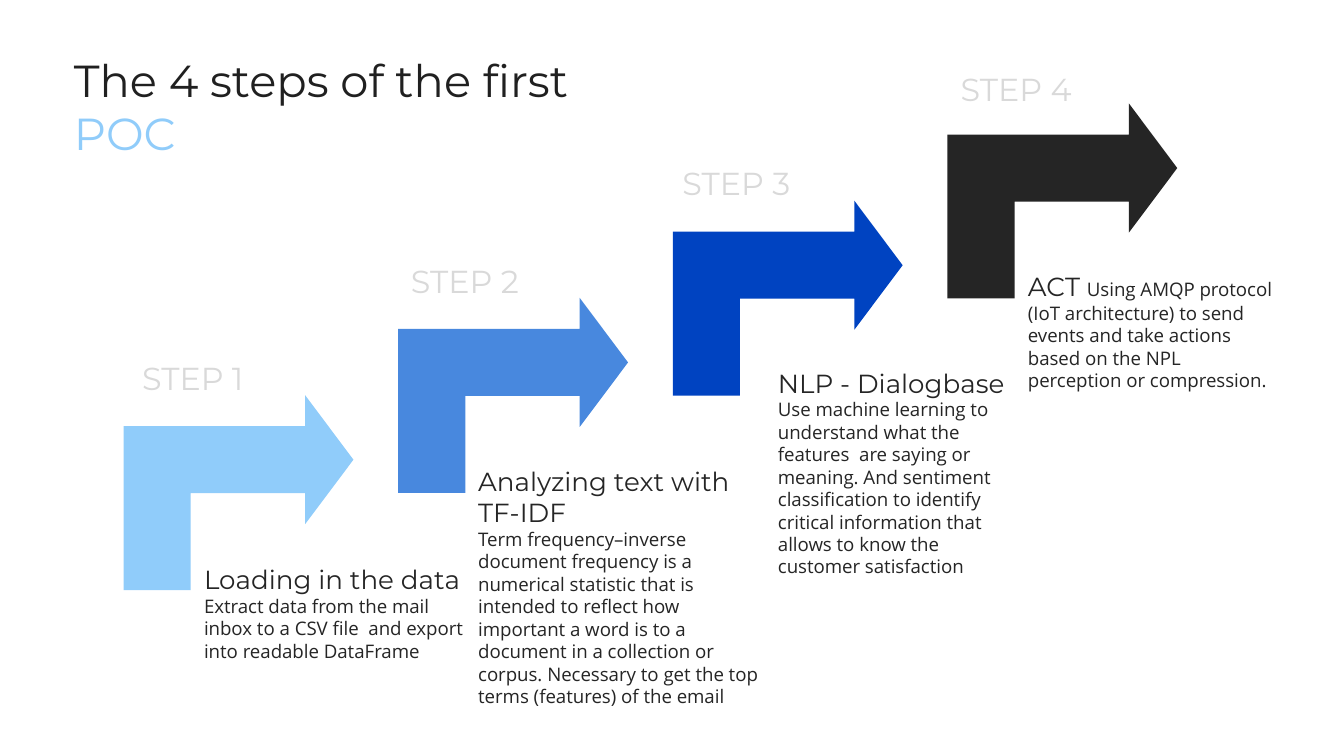
from pptx import Presentation
from pptx import util as u
from pptx.dml.color import RGBColor
from pptx.enum import shapes, text

SKY = RGBColor(0x90, 0xCC, 0xFA)
BLUE = RGBColor(0x48, 0x88, 0xDE)
ROYAL = RGBColor(0x00, 0x43, 0xC1)
DARK = RGBColor(0x25, 0x25, 0x25)
INK = RGBColor(0x20, 0x20, 0x20)
GREY = RGBColor(0xD9, 0xD9, 0xD9)

HEAD = dict(name="Montserrat", size=u.Pt(14), color=DARK)
BODY = dict(name="Open Sans", size=u.Pt(10), color=DARK)
LABEL = dict(name="Montserrat", size=u.Pt(17), color=GREY)
TITLE = dict(name="Montserrat", size=u.Pt(24), color=INK)
BREAK = ("\n", None)

STEPS = [
    (SKY, (0.96, 2.57), (1.42, 4.09, 2.13, 1.02), [
        [("Loading in the data", HEAD)],
        [("Extract data from the mail inbox to a CSV file  and export into "
          "readable DataFrame", BODY)]]),
    (BLUE, (2.96, 1.85), (3.46, 3.36, 2.37, 1.19), [
        [("Analyzing text with ", HEAD)],
        [("TF-IDF", HEAD), BREAK,
         ("Term frequency–inverse document frequency is a numerical statistic "
          "that is intended to reflect how important a word is to a document in "
          "a collection or corpus. Necessary to get the top terms (features) of "
          "the email", BODY)]]),
    (ROYAL, (4.98, 1.12), (5.69, 2.63, 2.04, 1.71), [
        [("NLP - Dialogbase", HEAD), BREAK,
         ("Use machine learning to understand what the features  are saying or "
          "meaning. And sentiment classification to identify critical "
          "information that allows to know the customer satisfaction", BODY)]]),
    (DARK, (7.05, 0.42), (7.55, 1.91, 2.04, 1.19), [
        [("ACT ", HEAD),
         ("Using AMQP protocol (IoT architecture) to send events and take "
          "actions based on the NPL perception or compression.", BODY)]]),
]


def place(sp, box):
    for key, value in zip(("left", "top", "width", "height"), box):
        setattr(sp, key, u.Inches(value))


def add_run(p, words, fmt):
    r = p.add_run()
    r.text = words
    for key, value in fmt.items():
        if key == "color":
            r.font.color.rgb = value
        else:
            setattr(r.font, key, value)


def fill_text(sp, paragraphs, anchor=text.MSO_ANCHOR.TOP):
    tf = sp.text_frame
    frame = dict(word_wrap=True, auto_size=text.MSO_AUTO_SIZE.NONE,
                 vertical_anchor=anchor)
    frame.update({f"margin_{side}": u.Inches(0.1)
                  for side in ("left", "top", "right", "bottom")})
    for key, value in frame.items():
        setattr(tf, key, value)
    for i, runs in enumerate(paragraphs):
        p = tf.add_paragraph() if i else tf.paragraphs[0]
        for key, value in dict(alignment=text.PP_ALIGN.LEFT, line_spacing=1.0,
                               space_before=u.Pt(0)).items():
            setattr(p, key, value)
        for words, fmt in runs:
            if fmt is None:
                p.add_line_break()
            else:
                add_run(p, words, fmt)


def add_text(s, box, paragraphs):
    sp = s.shapes.add_textbox(*map(u.Inches, box))
    fill_text(sp, paragraphs)


def add_arrow(s, box, color):
    sp = s.shapes.add_shape(shapes.MSO_SHAPE.BENT_UP_ARROW, *map(u.Inches, box))
    sp.shadow.inherit = False
    sp.fill.solid()
    sp.fill.fore_color.rgb = color
    sp.line.fill.background()
    sp.rotation = 90
    sp._element.spPr.get_or_add_xfrm().set("flipH", "1")
    for i, value in enumerate((0.344, 0.331, 0.248)):
        sp.adjustments[i] = value


def main():
    prs = Presentation()
    prs.slide_width = u.Inches(10)
    prs.slide_height = u.Inches(10 * 9 / 16)
    s = prs.slides.add_slide(prs.slide_layouts[5])
    title = s.shapes.title
    place(title, (0.45, 0.16, 4.07, 1.13))
    fill_text(title, [[("The 4 steps of the first ", TITLE),
                       ("POC", dict(TITLE, color=SKY))]], text.MSO_ANCHOR.BOTTOM)
    for i, (color, label_at, body_box, paragraphs) in enumerate(STEPS):
        add_arrow(s, (1.05 + 6.13 * i / 3, 2.81 - 2.17 * i / 3, 1.45, 1.71), color)
        add_text(s, (*label_at, 1.77, 0.37), [[(f"STEP {i + 1}", LABEL)]])
        add_text(s, body_box, paragraphs)
    prs.save("out.pptx")


main()
